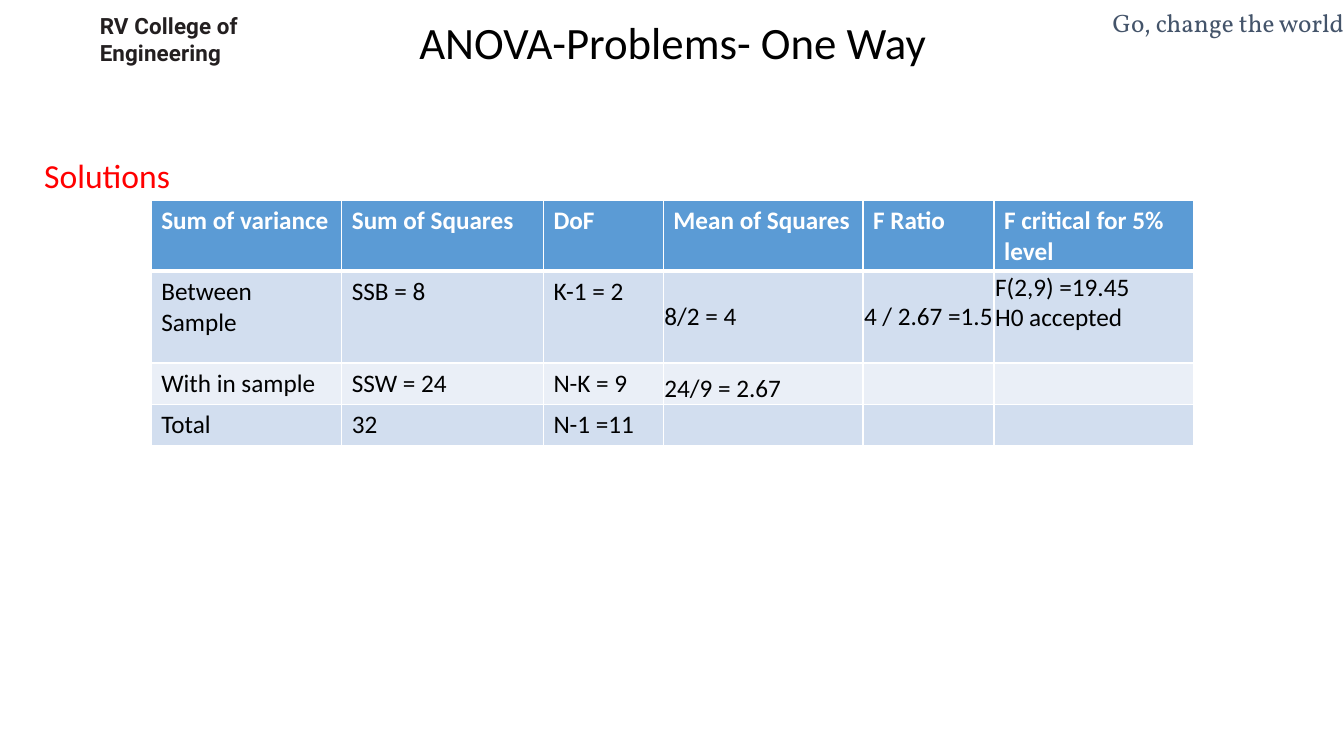
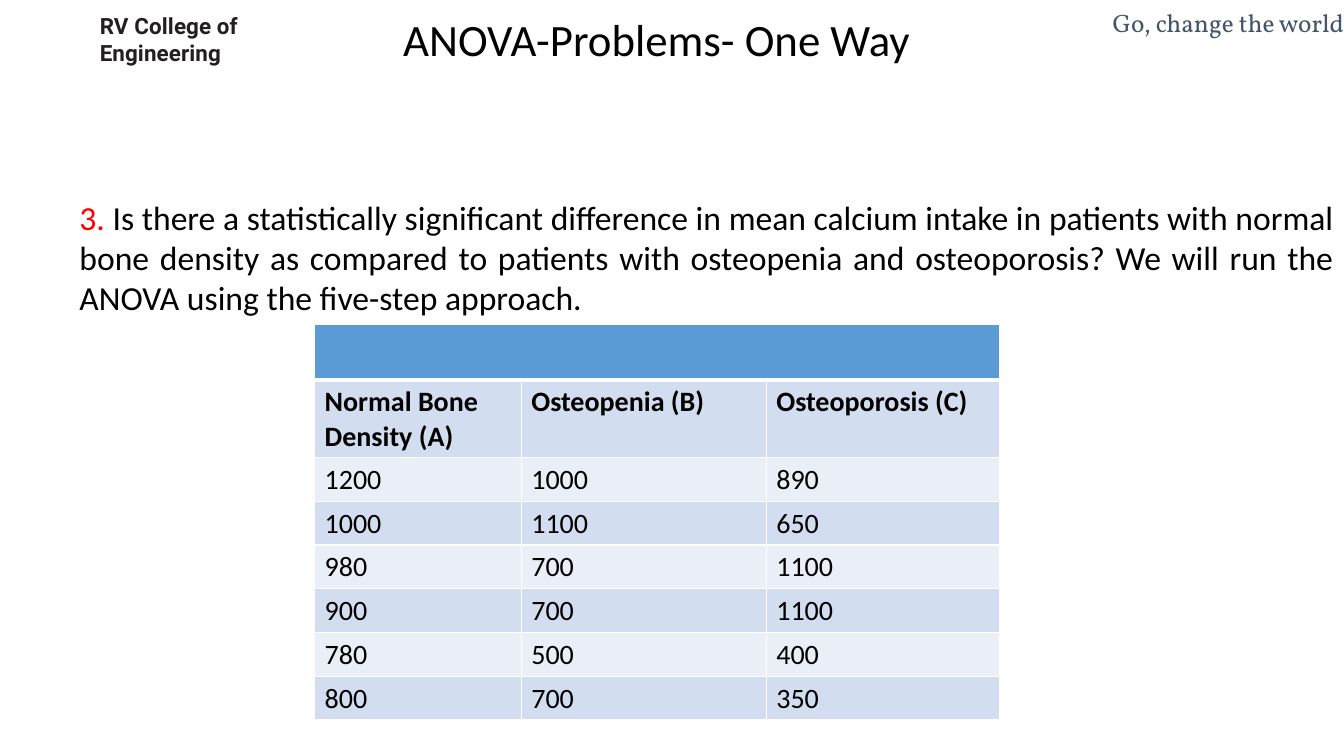
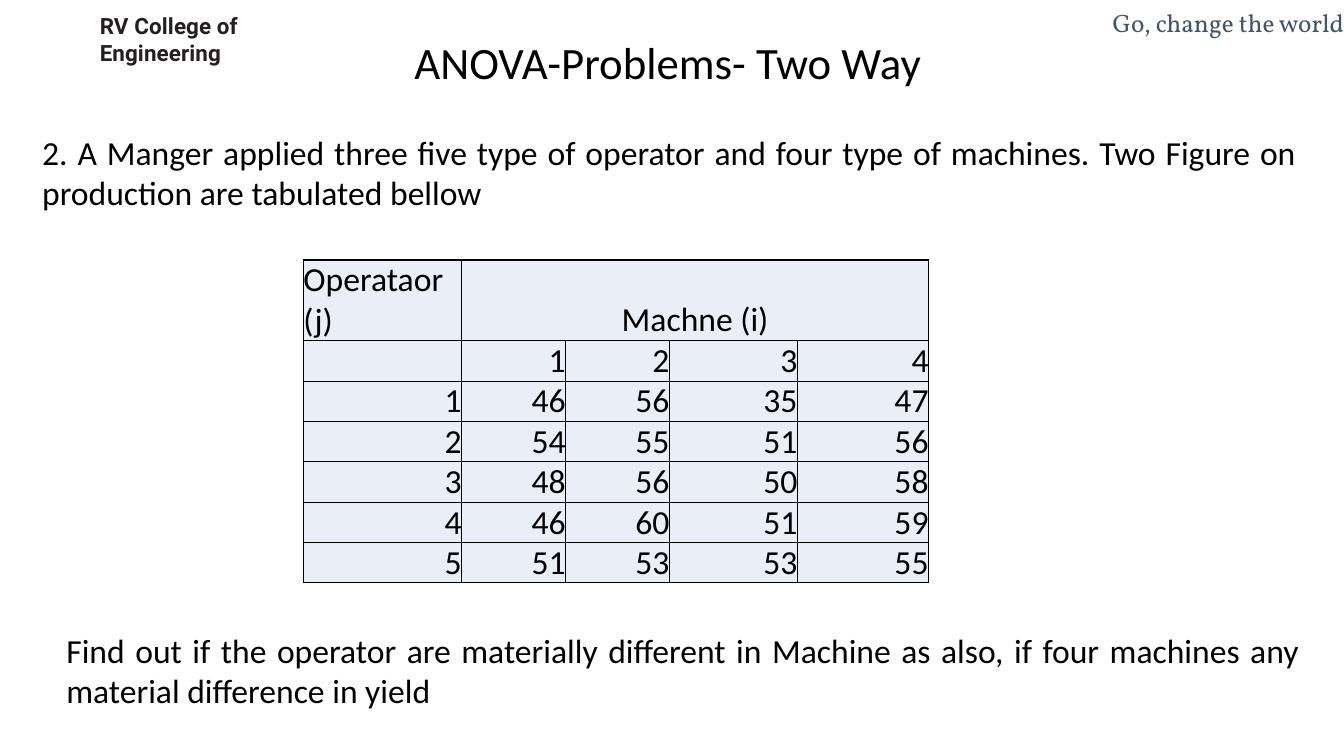
from dataclasses import dataclass, replace
from typing import Optional

from lxml import etree
from pptx import Presentation
from pptx import util as u
from pptx.dml import color as dml
from pptx.enum import text as tx
from pptx.oxml import ns

LEFT, CENTER, RIGHT, JUSTIFY = (
    tx.PP_ALIGN.LEFT, tx.PP_ALIGN.CENTER, tx.PP_ALIGN.RIGHT, tx.PP_ALIGN.JUSTIFY)


@dataclass(frozen=True)
class Theme:
    font: str = "Calibri"
    brand_font: str = "Roboto"
    motto_font: str = "Vollkorn"
    black: str = "000000"
    white: str = "FFFFFF"
    red: str = "FF0000"
    brand: str = "231F20"
    motto: str = "44546A"
    head: str = "5B9BD5"
    band: str = "D2DEEF"
    pale: str = "EAEFF7"
    title: int = 32
    body: int = 24
    table: int = 20
    small: int = 18
    brand_size: int = 16


T = Theme()


@dataclass(frozen=True)
class Cell:
    text: str = ""
    size: int = T.small
    color: str = T.black
    bold: bool = False
    align: int = LEFT
    bottom: bool = False
    insets: tuple = (0.1, 0.05, 0.1, 0.05)
    fill: str = T.pale


@dataclass(frozen=True)
class Grid:
    left: float
    top: float
    cols: list
    rows: list
    cells: list
    line: str = T.white
    head_line: float = 1
    merge: Optional[tuple] = None  # first and last column joined in the top row


# Text
def write(tf, content, *, size=T.body, color=T.black, font=T.font, bold=False,
          align=LEFT, insets=(0.1, 0.05, 0.1, 0.05), line=None, before=0, spacing=0):
    """Fill a frame; each line is a paragraph, a list holds (text, colour) runs."""
    tf.word_wrap = True
    tf.margin_left, tf.margin_top, tf.margin_right, tf.margin_bottom = map(u.Inches, insets)
    paragraphs = content.split("\n") if isinstance(content, str) else [content]
    for i, runs in enumerate(paragraphs):
        p = tf.add_paragraph() if i else tf.paragraphs[0]
        p.alignment = align
        if line:
            p.line_spacing = u.Pt(line)
        if i and before:
            p.space_before = u.Pt(before)
        for words, tint in [(runs, color)] if isinstance(runs, str) else runs:
            r = p.add_run()
            r.text = words
            r.font.name, r.font.size, r.font.bold = font, u.Pt(size), bold
            r.font.color.rgb = dml.RGBColor.from_string(tint)
            if spacing:
                r.font._element.set("spc", str(spacing))


def add_text(s, x, y, w, h, content, **fmt):
    box = s.shapes.add_textbox(u.Inches(x), u.Inches(y), u.Inches(w), u.Inches(h))
    write(box.text_frame, content, **fmt)


# Tables
def set_borders(cell, color: str, top: float, bottom: float) -> None:
    tcPr = cell._tc.get_or_add_tcPr()
    for side, width in (("L", 1), ("R", 1), ("T", top), ("B", bottom)):
        ln = etree.SubElement(tcPr, ns.qn(f"a:ln{side}"), w=str(u.Pt(width)))
        fill = etree.SubElement(ln, ns.qn("a:solidFill"))
        etree.SubElement(fill, ns.qn("a:srgbClr"), val=color)


def add_grid(s, g: Grid) -> None:
    table = s.shapes.add_table(
        len(g.rows), len(g.cols), u.Inches(g.left), u.Inches(g.top),
        u.Inches(sum(g.cols)), u.Inches(sum(g.rows))).table
    table.first_row = table.horz_banding = False
    for column, width in zip(table.columns, g.cols):
        column.width = u.Inches(width)
    for row, height in zip(table.rows, g.rows):
        row.height = u.Inches(height)
    for i, row in enumerate(g.cells):
        for j, c in enumerate(row):
            cell = table.cell(i, j)
            set_borders(cell, g.line, g.head_line if i == 1 else 1,
                        g.head_line if i == 0 else 1)
            cell.fill.solid()
            cell.fill.fore_color.rgb = dml.RGBColor.from_string(c.fill)
            cell.vertical_anchor = tx.MSO_ANCHOR.BOTTOM if c.bottom else tx.MSO_ANCHOR.TOP
            (cell.margin_left, cell.margin_top,
             cell.margin_right, cell.margin_bottom) = map(u.Inches, c.insets)
            if c.text:
                write(cell.text_frame, c.text, size=c.size, color=c.color,
                      bold=c.bold, align=c.align, insets=c.insets)
    if g.merge:
        first, last = g.merge
        table.cell(0, first).merge(table.cell(0, last))


def banded(rows: list, size: int) -> list:
    """Blue head row, then alternating bands; ready-made cells keep their format."""
    styled = []
    for i, row in enumerate(rows):
        fill = T.head if i == 0 else T.band if i % 2 else T.pale
        base = Cell(size=size, fill=fill, bold=i == 0, color=T.black if i else T.white)
        styled.append([replace(c, fill=fill) if isinstance(c, Cell)
                       else replace(base, text=c) for c in row])
    return styled


# Parts shared by all slides
def new_slide(prs, title: str, x: float, y: float, h: float):
    s = prs.slides.add_slide(prs.slide_layouts[6])
    add_text(s, 0.98, 0.1, 1.5, 0.54, "RV College of\nEngineering", size=T.brand_size,
             color=T.brand, font=T.brand_font, bold=True, insets=(0.01, 0.04, 0, 0),
             line=17.9, before=1.4, spacing=10)
    add_text(s, 9.31, 0.07, 4.02, 0.51, "Go, change the world", size=T.small,
             color=T.motto, font=T.motto_font, align=RIGHT, insets=(0, 0, 0, 0))
    add_text(s, x, y, 8.03, h, title, size=T.title, align=CENTER,
             insets=(0.1, 0.05, 0.4, 0.05))
    return s


# Slides
def solutions(prs) -> None:
    s = new_slide(prs, "ANOVA-Problems- One Way", 2.81, 0.1, 1.18)
    add_text(s, 0.34, 1.49, 12.64, 0.5, "Solutions", color=T.red, align=JUSTIFY)
    result = Cell(bottom=True, insets=(0.01, 0.01, 0.01, 0))
    raised = replace(result, insets=(0.01, 0.01, 0.01, 0.3))
    rows = [
        ["Sum of variance", "Sum of Squares", "DoF", "Mean of Squares", "F Ratio",
         "F critical for 5% level"],
        ["Between Sample", "SSB = 8", "K-1 = 2", replace(raised, text="8/2 = 4"),
         replace(raised, text="4 / 2.67 =1.5"),
         replace(raised, text="F(2,9) =19.45\nH0 accepted")],
        ["With in sample", "SSW = 24", "N-K = 9", replace(result, text="24/9 = 2.67"), "", ""],
        ["Total", "32", "N-1 =11", "", "", ""],
    ]
    add_grid(s, Grid(1.5, 1.99, [1.89, 2, 1.19, 1.98, 1.3, 1.98],
                     [0.7, 0.91, 0.41, 0.41], banded(rows, T.small), head_line=3))


def bone_density(prs) -> None:
    s = new_slide(prs, "ANOVA-Problems- One Way", 2.65, 0.07, 1.18)
    question = ("Is there a statistically significant difference in mean calcium intake in "
                "patients with normal bone density as compared to patients with osteopenia "
                "and osteoporosis? We will run the ANOVA using the five-step approach.")
    add_text(s, 0.69, 1.9, 12.64, 1.31, [("3. ", T.red), (question, T.black)], align=JUSTIFY)
    groups = ["Normal Bone Density (A)", "Osteopenia (B)", "Osteoporosis (C)"]
    intake = [(1200, 1000, 890), (1000, 1100, 650), (980, 700, 1100),
              (900, 700, 1100), (780, 500, 400), (800, 700, 350)]
    rows = [[""] * 3, [Cell(name, T.table, bold=True) for name in groups],
            *[[str(v) for v in row] for row in intake]]
    add_grid(s, Grid(3.12, 3.22, [2.05, 2.43, 2.31], [0.55, 0.77] + [0.43] * 6,
                     banded(rows, T.table), head_line=3, merge=(0, 2)))


def operators(prs) -> None:
    s = new_slide(prs, "ANOVA-Problems- Two Way", 2.76, 0.3, 0.64)
    number = Cell(size=T.body, align=RIGHT, bottom=True, insets=(0, 0, 0, 0))
    output = [("", 1, 2, 3, 4), (1, 46, 56, 35, 47), (2, 54, 55, 51, 56),
              (3, 48, 56, 50, 58), (4, 46, 60, 51, 59), (5, 51, 53, 53, 55)]
    blank = replace(number, text="")
    head = [replace(number, text="Operataor (j)", align=LEFT),
            replace(number, text="Machne (i)", align=CENTER), blank, blank, blank]
    cells = [head, *[[replace(number, text=str(v)) for v in row] for row in output]]
    add_grid(s, Grid(3.01, 2.58, [1.57, 1.03, 1.03, 1.27, 1.3], [0.8] + [0.4] * 6,
                     cells, line=T.black, merge=(1, 4)))
    add_text(s, 0.32, 1.26, 12.64, 0.91,
             "2. A Manger applied three five type of operator and four type of machines. "
             "Two Figure on production are tabulated bellow", align=JUSTIFY)
    add_text(s, 0.56, 6.2, 12.43, 0.91,
             "Find out if the operator are materially different in Machine as also, "
             "if four machines any material difference in yield", align=JUSTIFY)


def main() -> None:
    prs = Presentation()
    prs.slide_width, prs.slide_height = u.Inches(13.33), u.Inches(7.5)
    for build in (solutions, bone_density, operators):
        build(prs)
    prs.save("out.pptx")


if __name__ == "__main__":
    main()
